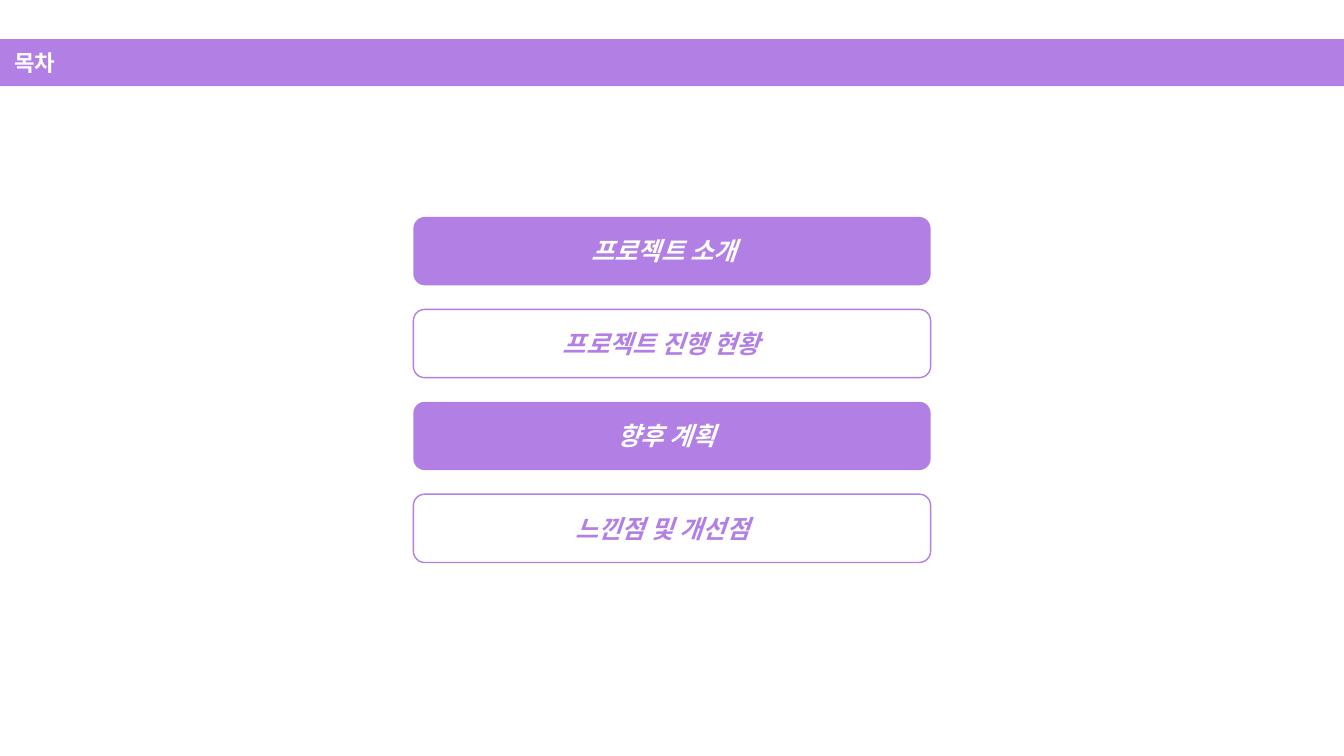
"""Build the table-of-contents slide with a title bar and four section buttons."""
from pptx import Presentation
from pptx.dml.color import RGBColor
from pptx.enum.shapes import MSO_SHAPE
from pptx.enum.text import MSO_ANCHOR, MSO_AUTO_SIZE, PP_ALIGN
from pptx.util import Pt

RECTANGLE, ROUNDED = MSO_SHAPE.RECTANGLE, MSO_SHAPE.ROUNDED_RECTANGLE
LEFT, TOP = PP_ALIGN.LEFT, MSO_ANCHOR.TOP
FIT_SHAPE = MSO_AUTO_SIZE.SHAPE_TO_FIT_TEXT
COLORS = {"purple": "B27FE5", "white": "FFFFFF"}


def write(holder, text, size, color, italic=False):
    frame = holder.text_frame
    frame.text = text
    frame.word_wrap = False
    frame.auto_size = FIT_SHAPE
    frame.vertical_anchor = TOP
    paragraph = frame.paragraphs[0]
    paragraph.alignment = LEFT
    font = paragraph.runs[0].font
    font.name, font.size = "Arial", Pt(size)
    font.bold, font.italic = True, italic
    font.color.rgb = RGBColor.from_string(COLORS[color])


def add_panel(kind, left, top, width, height, fill, outline=None):
    panel = slide.shapes.add_shape(kind, Pt(left), Pt(top), Pt(width), Pt(height))
    panel.shadow.inherit = False
    panel.fill.solid()
    panel.fill.fore_color.rgb = RGBColor.from_string(COLORS[fill])
    if outline:
        panel.line.color.rgb = RGBColor.from_string(COLORS[outline])
        panel.line.width = Pt(1)
    else:
        panel.line.fill.background()
    return panel


SLIDE_WIDTH = 960
prs = Presentation()
prs.slide_width, prs.slide_height = Pt(SLIDE_WIDTH), Pt(540)
slide = prs.slides.add_slide(prs.slide_layouts[5])

title_bar = add_panel(RECTANGLE, 0, 28, SLIDE_WIDTH, 33.5, "purple")
title = slide.shapes.title
title.left, title.top, title.width, title.height = Pt(3), Pt(31.5), Pt(46.8), Pt(26.6)
write(title, "목차", 16, "white")
title._element.addprevious(title_bar._element)

BUTTON_WIDTH, BUTTON_HEIGHT = 369.5, 48.8
FIRST_TOP, STEP = 155, 66
LABEL_HEIGHT = 29.1
sections = [
    ("프로젝트 소개", 129),
    ("프로젝트 진행 현황", 170),
    ("향후 계획", 92),
    ("느낀점 및 개선점", 152),
]
for index, (section, label_width) in enumerate(sections):
    top = FIRST_TOP + index * STEP
    button_left = (SLIDE_WIDTH - BUTTON_WIDTH) / 2
    filled = index % 2 == 0
    fill, ink, outline = ("purple", "white", None) if filled else ("white", "purple", "purple")
    add_panel(ROUNDED, button_left, top, BUTTON_WIDTH, BUTTON_HEIGHT, fill, outline)
    label = slide.shapes.add_textbox(
        Pt((SLIDE_WIDTH - label_width) / 2), Pt(top + (BUTTON_HEIGHT - LABEL_HEIGHT) / 2),
        Pt(label_width), Pt(LABEL_HEIGHT))
    write(label, section, 18, ink, italic=True)

prs.save("out.pptx")
